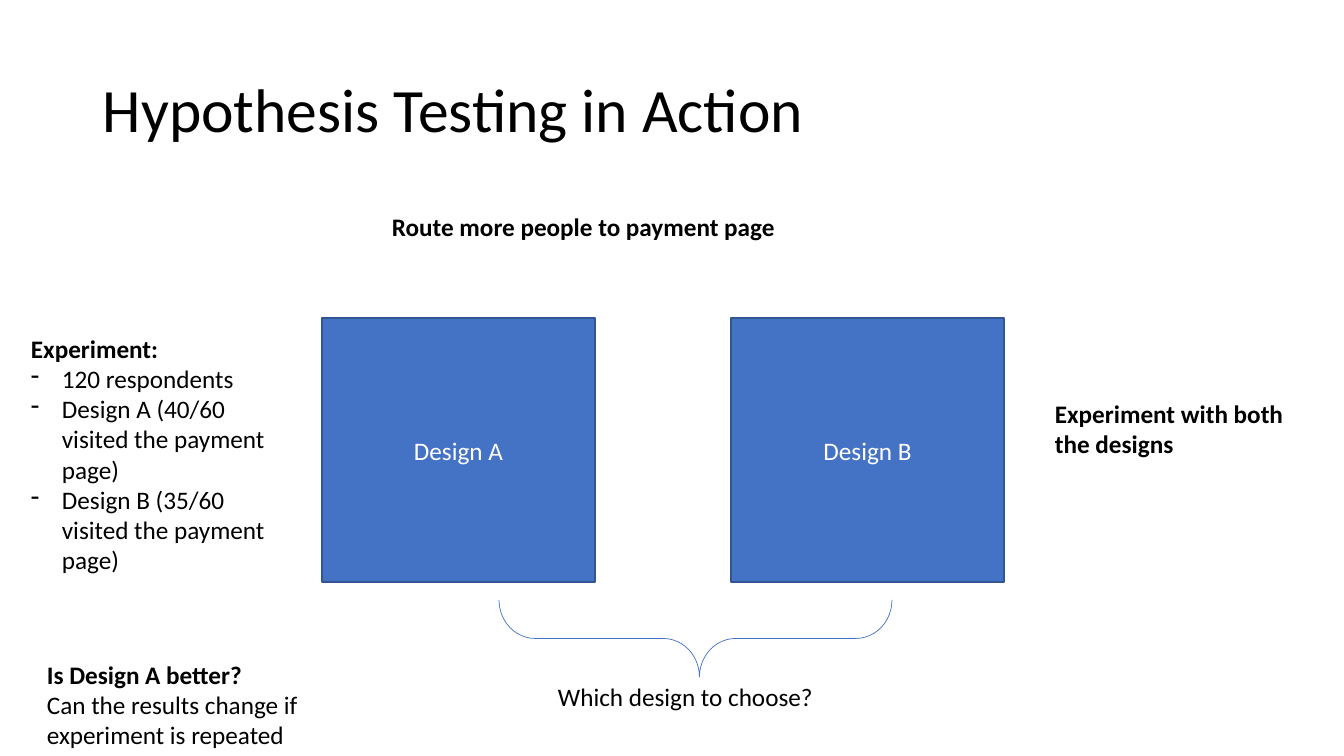
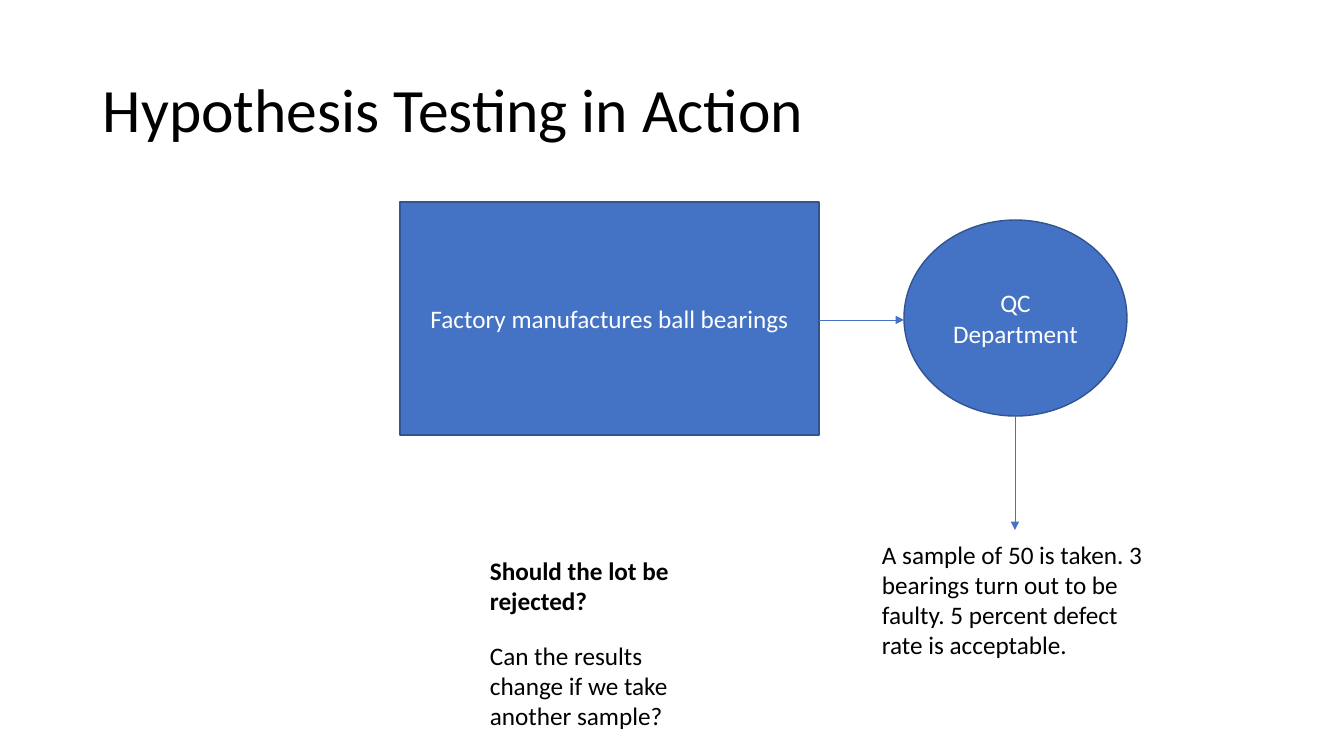
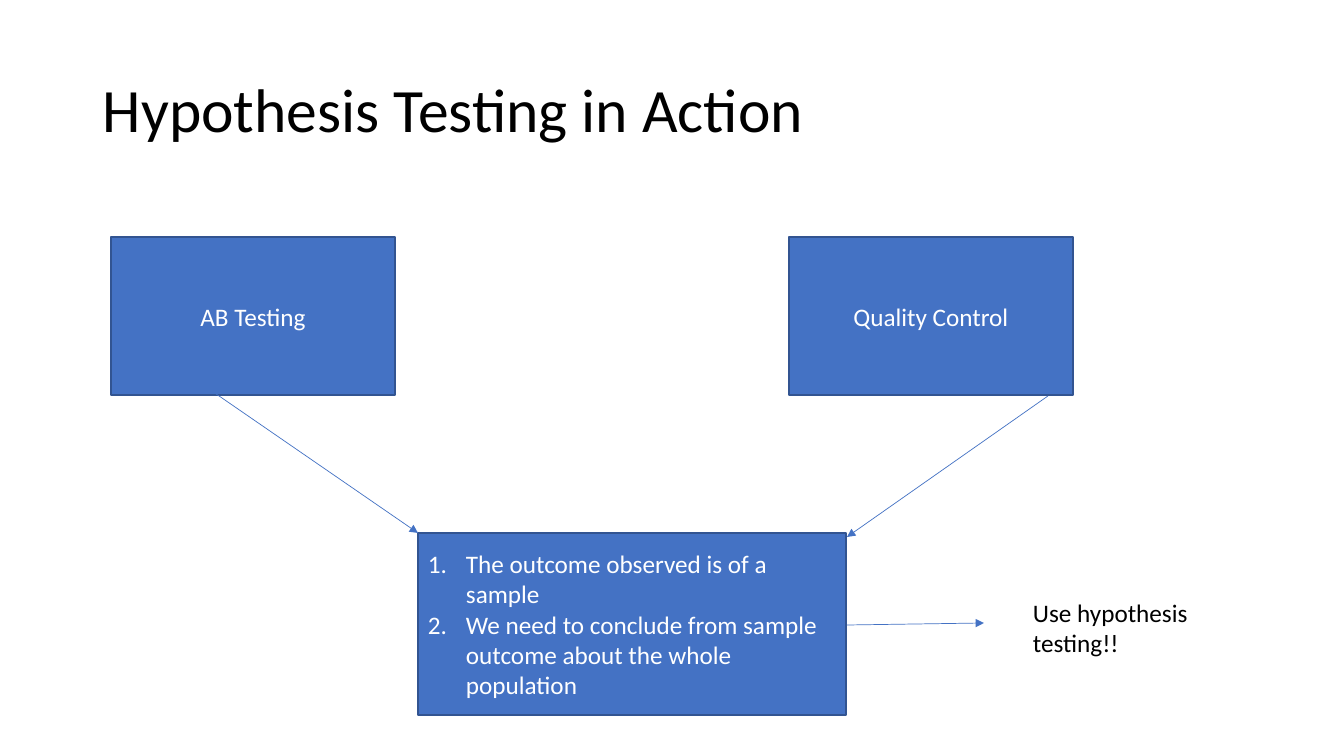
from lxml import etree
from pptx import Presentation
from pptx.dml.color import RGBColor
from pptx.enum import shapes, text
from pptx.oxml import ns
from pptx import util as u

PX = 914400 / 100.8
PAGE_SIZE = (1344, 756)
FONT = "Calibri"
BODY_SIZE, TITLE_SIZE = 18, 44
BLACK, WHITE, BLUE, EDGE = "000000", "FFFFFF", "4472C4", "325491"
RECT, OVAL = shapes.MSO_SHAPE.RECTANGLE, shapes.MSO_SHAPE.OVAL

TITLE = "Hypothesis Testing in Action"
TITLE_AREA = (93, 40, 1159, 146)

# Bullet kind: (indent, bullet tag, its attributes)
BULLETS = {
    "dash": (31, "a:buChar", {"char": "-"}),
    "number": (38, "a:buAutoNum", {"type": "arabicPeriod"}),
}

# A paragraph is (wording, bold, bullet kind).
# A note is (area, paragraphs); a block is (preset, area, paragraphs).
# An arrow is (start x, start y, end x, end y).
PAGES = [
    {
        "blocks": [
            (RECT, (322, 318, 273, 264), [("Design A", False, None)]),
            (RECT, (731, 318, 273, 264), [("Design B", False, None)]),
        ],
        "arrows": [],
        "braces": [(657, 442, 77, 393)],
        "notes": [
            ((382, 206, 573, 40), [("Route more people to payment page", True, None)]),
            ((548, 676, 320, 40), [("Which design to choose?", False, None)]),
            ((1045, 393, 261, 72), [("Experiment with both the designs", True, None)]),
            ((21, 328, 256, 254), [
                ("Experiment:", True, None),
                ("120 respondents", False, "dash"),
                ("Design A (40/60 visited the payment page)", False, "dash"),
                ("Design B (35/60 visited the payment page)", False, "dash"),
            ]),
            ((37, 654, 346, 102), [
                ("Is Design A better?", True, None),
                ("Can the results change if experiment is repeated", False, None),
            ]),
        ],
    },
    {
        "blocks": [
            (RECT, (400, 202, 419, 233), [("Factory manufactures ball bearings", False, None)]),
            (OVAL, (904, 220, 223, 196), [("QC Department", False, None)]),
        ],
        "arrows": [(819, 320, 904, 320), (1015, 416, 1015, 530)],
        "braces": [],
        "notes": [
            ((872, 534, 286, 132), [
                ("A sample of 50 is taken. 3 bearings turn out to be faulty. "
                 "5 percent defect rate is acceptable.", False, None),
            ]),
            ((480, 550, 253, 72), [("Should the lot be rejected?", True, None)]),
            ((480, 635, 234, 102), [
                ("Can the results change if we take another sample?", False, None),
            ]),
        ],
    },
    {
        "blocks": [
            (RECT, (111, 237, 284, 158), [("AB Testing", False, None)]),
            (RECT, (789, 237, 284, 158), [("Quality Control", False, None)]),
            (RECT, (418, 533, 428, 182), [
                ("The outcome observed is of a sample", False, "number"),
                ("We need to conclude from sample outcome about the whole population",
                 False, "number"),
            ]),
        ],
        "arrows": [(193, 378, 418, 533), (1048, 396, 847, 537), (847, 625, 984, 623)],
        "braces": [],
        "notes": [
            ((1023, 592, 256, 72), [("Use hypothesis testing!!", False, None)]),
        ],
    },
]


def emu(lengths):
    """Turn pixel lengths into EMU."""
    return [u.Emu(round(length * PX)) for length in lengths]


def color(hex_string):
    """Turn a hex string into a colour."""
    return RGBColor.from_string(hex_string)


def set_line(line, hex_string, points):
    """Give an outline or connector its colour and width."""
    line.color.rgb = color(hex_string)
    line.width = u.Pt(points)


def set_bullet(para, kind):
    """Hang a paragraph on a bullet or number."""
    indent, tag, attributes = BULLETS[kind]
    margin = emu([indent])[0]
    props = para._p.get_or_add_pPr()
    props.set("marL", str(margin))
    props.set("indent", str(-margin))
    etree.SubElement(props, ns.qn(tag), attributes)


def write(box, paragraphs, ink, size=BODY_SIZE, centred=False,
          anchor=text.MSO_ANCHOR.TOP, spacing=None):
    """Fill a box with paragraphs; bulleted ones stay left-aligned."""
    frame = box.text_frame
    frame.word_wrap = True
    frame.vertical_anchor = anchor
    for index, (wording, bold, bullet) in enumerate(paragraphs):
        para = frame.add_paragraph() if index else frame.paragraphs[0]
        para.alignment = (text.PP_ALIGN.CENTER if centred and not bullet
                          else text.PP_ALIGN.LEFT)
        if spacing:
            para.line_spacing = spacing
        if bullet:
            set_bullet(para, bullet)
        span = para.add_run()
        span.text = wording
        span.font.name, span.font.size, span.font.bold = FONT, u.Pt(size), bold
        span.font.color.rgb = color(ink)


def add_title(page):
    """Add the shared title."""
    write(page.shapes.add_textbox(*emu(TITLE_AREA)), [(TITLE, False, None)], BLACK,
          TITLE_SIZE, anchor=text.MSO_ANCHOR.MIDDLE, spacing=0.9)


def add_block(page, preset, area, paragraphs):
    """Add a filled shape with white text."""
    block = page.shapes.add_shape(preset, *emu(area))
    block.shadow.inherit = False
    block.fill.solid()
    block.fill.fore_color.rgb = color(BLUE)
    set_line(block.line, EDGE, 1)
    write(block, paragraphs, WHITE, centred=True, anchor=text.MSO_ANCHOR.MIDDLE)


def add_arrow(page, ends):
    """Add a thin straight arrow."""
    arrow = page.shapes.add_connector(shapes.MSO_CONNECTOR.STRAIGHT, *emu(ends))
    set_line(arrow.line, BLUE, 0.5)
    etree.SubElement(arrow.line._get_or_add_ln(), ns.qn("a:tailEnd"), {"type": "triangle"})
    etree.SubElement(arrow._element.spPr, ns.qn("a:effectLst"))


def add_brace(page, area):
    """Add a brace turned to point down."""
    brace = page.shapes.add_shape(shapes.MSO_SHAPE.RIGHT_BRACE, *emu(area))
    brace.shadow.inherit = False
    brace.rotation = 90
    brace.adjustments[0], brace.adjustments[1] = 0.47, 0.49
    brace.fill.background()
    set_line(brace.line, BLUE, 0.5)


def build():
    """Build and save the deck."""
    deck = Presentation()
    deck.slide_width, deck.slide_height = emu(PAGE_SIZE)
    for content in PAGES:
        page = deck.slides.add_slide(deck.slide_layouts[6])
        add_title(page)
        for block in content["blocks"]:
            add_block(page, *block)
        for ends in content["arrows"]:
            add_arrow(page, ends)
        for area in content["braces"]:
            add_brace(page, area)
        for area, paragraphs in content["notes"]:
            write(page.shapes.add_textbox(*emu(area)), paragraphs, BLACK)
    deck.save("out.pptx")


build()
